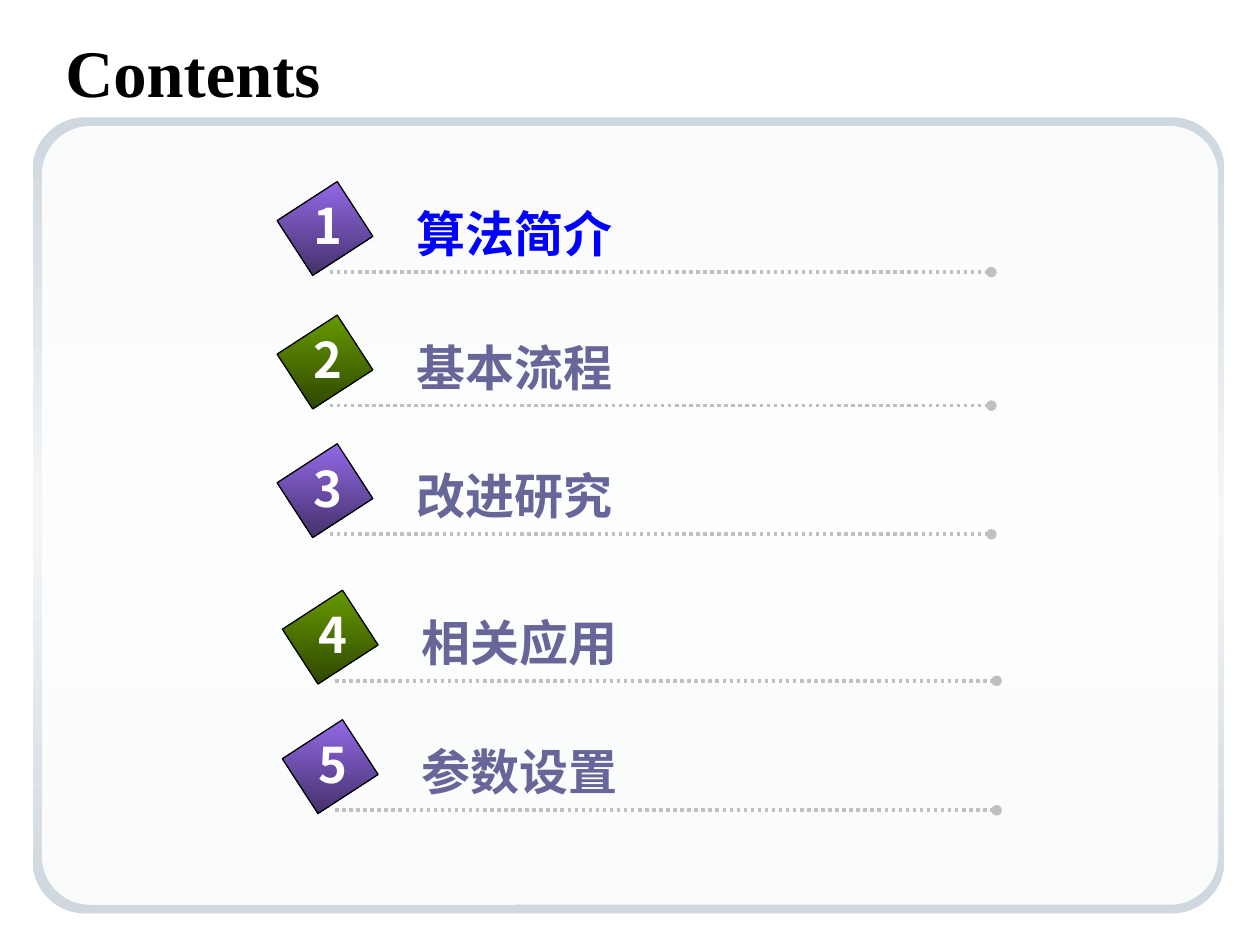
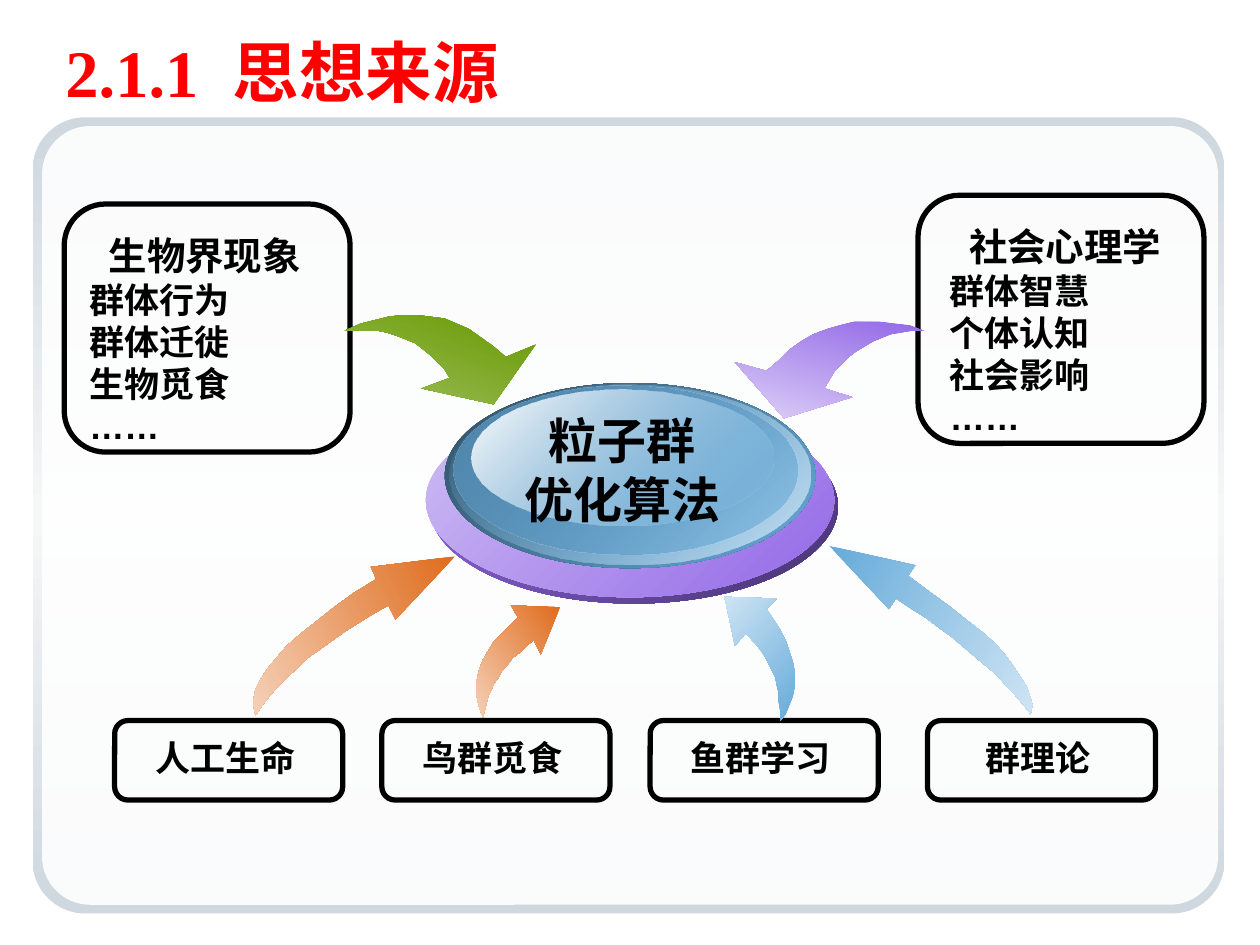
from lxml.etree import SubElement
from pptx import Presentation
from pptx.dml.color import RGBColor
from pptx.enum.dml import MSO_LINE
from pptx.enum.shapes import MSO_CONNECTOR, MSO_SHAPE
from pptx.enum.text import MSO_ANCHOR, MSO_AUTO_SIZE, PP_ALIGN
from pptx.oxml.ns import qn
from pptx.util import Pt

TITLE_FONT, BODY_FONT, CHINESE_FONT = "Times New Roman", "Arial", "Noto Sans CJK SC"
BLACK, WHITE, RED, BLUE = "000000", "FFFFFF", "FF0000", "0000FF"
SLATE, SILVER = "666699", "C0C0C0"
PANEL_EDGE = [(0, "CFD7DF"), (50, "F5F7F8"), (100, "CFD7DF")]
PURPLE_TILE = [(0, "9369E7"), (100, "44316B")]
GREEN_TILE = [(0, "669900"), (100, "2F4700")]
GREEN_ARROW = [(0, "669900"), (100, "9EBE5D")]
PURPLE_ARROW = [(0, "9369E7"), (100, "DDCFF7")]
BLUE_ARROW = [(0, "66ABDA"), (100, "CEE4F3")]
ORANGE_ARROW = [(0, "DF6C1D"), (100, "F5D0B7")]

# Contents: label, left of the dotted rule, height of the rule
CONTENTS = [
    ("算法简介", 188.5, 155.5),
    ("基本流程", 188.5, 231.8),
    ("改进研究", 188.5, 305.3),
    ("相关应用", 191.5, 389),
    ("参数设置", 191.5, 463),
]
CURRENT_TOPIC = "算法简介"

# Sources of the idea: frame left and top, text left, heading, items
SOURCE_CARDS = [
    (36.7, 116.6, 44, "生物界现象", ["群体行为", "群体迁徙", "生物觅食", "……"]),
    (524.6, 111.6, 535.7, "社会心理学", ["群体智慧", "个体认知", "社会影响", "……"]),
]
FIELD_BOXES = [("人工生命", 65.5), ("鸟群觅食", 218.2), ("鱼群学习", 371.5), ("群理论", 530)]
HUB_LINES = ["粒子群", "优化算法"]

# Layers of the hub from back to front; a third stop value is the opacity
HUB_LAYERS = [
    ((245.5, 234, 233.3, 110.9), [(0, "9369E7"), (100, "473370")]),
    ((243.4, 230.4, 233.3, 110.9), [(0, "CFBDF4"), (100, "9369E7")]),
    ((254.2, 218.9, 211.7, 105.8), [(0, "2F4F65"), (100, "66ABDA")]),
    ((257, 219.6, 206, 103), [(0, "66ABDA", 0), (100, "CAE2F2")]),
    ((259.2, 220.3, 196.6, 96.5), [(0, "5187AD"), (100, "66ABDA", 48)]),
    ((269.3, 222.5, 172.8, 77.8), [(0, "FFFFFF"), (100, "66ABDA", 38)]),
]

# Curved arrows: gradient, angle, tail, bend of the outer edge, head, bend of the inner edge
ARROWS = [
    (GREEN_ARROW, 112, (197, 189), (249, 165),
     [(289, 204), (306, 197), (282, 231), (241, 222), (257, 216)], (237, 185)),
    (PURPLE_ARROW, 106, (528, 189), (477, 171),
     [(438, 212), (420, 207), (448, 239), (487, 227), (471, 222)], (488, 190)),
    (BLUE_ARROW, 30, (589, 408), (596, 382),
     [(519, 329), (523, 323), (474, 312), (508, 348), (512, 342)], (565, 376)),
    (BLUE_ARROW, 221, (446, 412), (466, 386),
     [(438, 348), (444, 342), (414, 341), (420, 369), (426, 362)], (446, 379)),
    (ORANGE_ARROW, 147, (276, 410), (262, 382),
     [(296, 353), (292, 346), (320, 347), (309, 374), (305, 366)], (279, 386)),
    (ORANGE_ARROW, 154, (146, 409), (135, 382),
     [(215, 331), (212, 324), (260, 318), (226, 354), (222, 346)], (168, 375)),
]
CURVE_STEPS = 12


def color(value):
    return RGBColor.from_string(value)


def points(box):
    return [Pt(length) for length in box]


def set_alpha(color_element, percent):
    SubElement(color_element, qn("a:alpha"), val=str(percent * 1000))


def fill_gradient(shape, stops, angle):
    """Fill with (position, colour[, opacity]) stops; the angle runs clockwise."""
    shape.fill.gradient()
    shape.fill.gradient_angle = 360 - angle
    stop_list = shape.element.spPr.find(qn("a:gradFill")).find(qn("a:gsLst"))
    for old_stop in list(stop_list):
        stop_list.remove(old_stop)
    for position, value, *opacity in stops:
        stop = SubElement(stop_list, qn("a:gs"), pos=str(position * 1000))
        color_element = SubElement(stop, qn("a:srgbClr"), val=value)
        if opacity:
            set_alpha(color_element, opacity[0])


def set_outline(shape, value=None, width=0):
    if value:
        shape.line.color.rgb = color(value)
        shape.line.width = Pt(width)
    else:
        shape.line.fill.background()


def add_plain_shape(slide, kind, box, corner=None):
    shape = slide.shapes.add_shape(kind, *points(box))
    shape.shadow.inherit = False
    shape.fill.background()
    set_outline(shape)
    if corner is not None:
        shape.adjustments[0] = corner
    return shape


def add_frame(slide, box):
    set_outline(add_plain_shape(slide, MSO_SHAPE.ROUNDED_RECTANGLE, box, 0.167), BLACK, 3)


def add_run(paragraph, text, size, value, font_name):
    run = paragraph.add_run()
    run.text = text
    formats = {"size": Pt(size), "bold": True, "name": font_name}
    for name, setting in formats.items():
        setattr(run.font, name, setting)
    run.font.color.rgb = color(value)
    SubElement(run.font._element, qn("a:ea"), typeface=CHINESE_FONT)
    return run


def add_text(slide, box, lines, value=BLACK, font_name=CHINESE_FONT):
    """Write (text, size, alignment) lines into a text box."""
    frame = slide.shapes.add_textbox(*points(box)).text_frame
    frame.word_wrap = True
    frame.margin_top = Pt(5.5)
    for index, (text, size, alignment) in enumerate(lines):
        paragraph = frame.add_paragraph() if index else frame.paragraphs[0]
        paragraph.alignment = alignment
        paragraph.line_spacing = Pt(size * 1.2)
        add_run(paragraph, text, size, value, font_name)


def add_titled_slide(presentation, title, title_color):
    slide = presentation.slides.add_slide(presentation.slide_layouts[5])
    edge = add_plain_shape(slide, MSO_SHAPE.ROUNDED_RECTANGLE, (18.7, 67, 681, 455), 0.066)
    fill_gradient(edge, PANEL_EDGE, 90)
    panel = add_plain_shape(slide, MSO_SHAPE.ROUNDED_RECTANGLE, (24, 72, 672, 445), 0.062)
    panel.fill.solid()
    panel.fill.fore_color.rgb = color(WHITE)
    set_alpha(panel.element.spPr.find(qn("a:solidFill"))[0], 90)

    placeholder = slide.shapes.title
    placeholder.left, placeholder.top, placeholder.width, placeholder.height = points(
        (30.2, 18, 672, 44.6))
    frame = placeholder.text_frame
    frame.vertical_anchor = MSO_ANCHOR.MIDDLE
    frame.auto_size = MSO_AUTO_SIZE.NONE
    paragraph = frame.paragraphs[0]
    paragraph.alignment = PP_ALIGN.LEFT
    for part in filter(None, title.partition(" ")):
        run = add_run(paragraph, part, 38, title_color, TITLE_FONT)
        if part == " ":  # widen the gap after the section number
            run.font._element.set("spc", "1000")
    return slide


def add_dotted_rule(slide, left, top):
    rule = slide.shapes.add_connector(
        MSO_CONNECTOR.STRAIGHT, *points((left, top, left + 378, top)))
    set_outline(rule, SILVER, 2)
    rule.line.dash_style = MSO_LINE.ROUND_DOT
    SubElement(rule.line._get_or_add_ln(), qn("a:tailEnd"), type="oval")
    SubElement(rule.element.spPr, qn("a:effectLst"))


def curve(start, bend, end):
    """Points of a quadratic curve after its start, up to and with its end."""
    steps = [step / CURVE_STEPS for step in range(1, CURVE_STEPS + 1)]
    return [tuple((1 - t) ** 2 * a + 2 * t * (1 - t) * b + t * t * c
                  for a, b, c in zip(start, bend, end)) for t in steps]


def add_curved_arrow(slide, stops, angle, tail, outer_bend, head, inner_bend):
    builder = slide.shapes.build_freeform(*tail, scale=Pt(1))
    outline = curve(tail, outer_bend, head[0]) + head[1:] + curve(head[-1], inner_bend, tail)
    builder.add_line_segments(outline, close=True)
    arrow = builder.convert_to_shape()
    arrow.shadow.inherit = False
    fill_gradient(arrow, stops, angle)
    set_outline(arrow)


def build_contents(presentation):
    slide = add_titled_slide(presentation, "Contents", BLACK)
    for number, (label, left, top) in enumerate(CONTENTS, 1):
        add_dotted_rule(slide, left, top)
        tile = add_plain_shape(slide, MSO_SHAPE.RECTANGLE, (left - 21.5, top - 45.4, 37.4, 41))
        tile.rotation = 57
        fill_gradient(tile, PURPLE_TILE if number % 2 else GREEN_TILE, 33)
        set_outline(tile, BLACK, 0.75)
        add_text(slide, (left + 42.5, top - 44.6, 140, 41), [(label, 28, PP_ALIGN.LEFT)],
                 BLUE if label == CURRENT_TOPIC else SLATE)
        add_text(slide, (left - 16.5, top - 49, 31, 41),
                 [(str(number), 28, PP_ALIGN.CENTER)], WHITE)


def build_idea_sources(presentation):
    slide = add_titled_slide(presentation, "2.1.1 思想来源", RED)
    for left, top, text_left, heading, items in SOURCE_CARDS:
        add_frame(slide, (left, top, 163.4, 141.8))
        lines = [(heading, 22, PP_ALIGN.CENTER)] + [(item, 20, PP_ALIGN.LEFT) for item in items]
        add_text(slide, (text_left, top + 10.5, 146, 130), lines, font_name=BODY_FONT)
    for box, stops in HUB_LAYERS:
        fill_gradient(add_plain_shape(slide, MSO_SHAPE.OVAL, box), stops, 45)
    add_text(slide, (291, 229, 129, 75), [(line, 28, PP_ALIGN.CENTER) for line in HUB_LINES])
    for label, left in FIELD_BOXES:
        add_frame(slide, (left, 411.8, 130.3, 45.4))
        add_text(slide, (left + 5.3, 415.4, 116, 31.7),
                 [(label, 20, PP_ALIGN.CENTER)], font_name=BODY_FONT)
    for arrow in ARROWS:
        add_curved_arrow(slide, *arrow)


def main():
    presentation = Presentation()
    presentation.slide_width, presentation.slide_height = Pt(720), Pt(540)
    build_contents(presentation)
    build_idea_sources(presentation)
    presentation.save("out.pptx")


if __name__ == "__main__":
    main()
